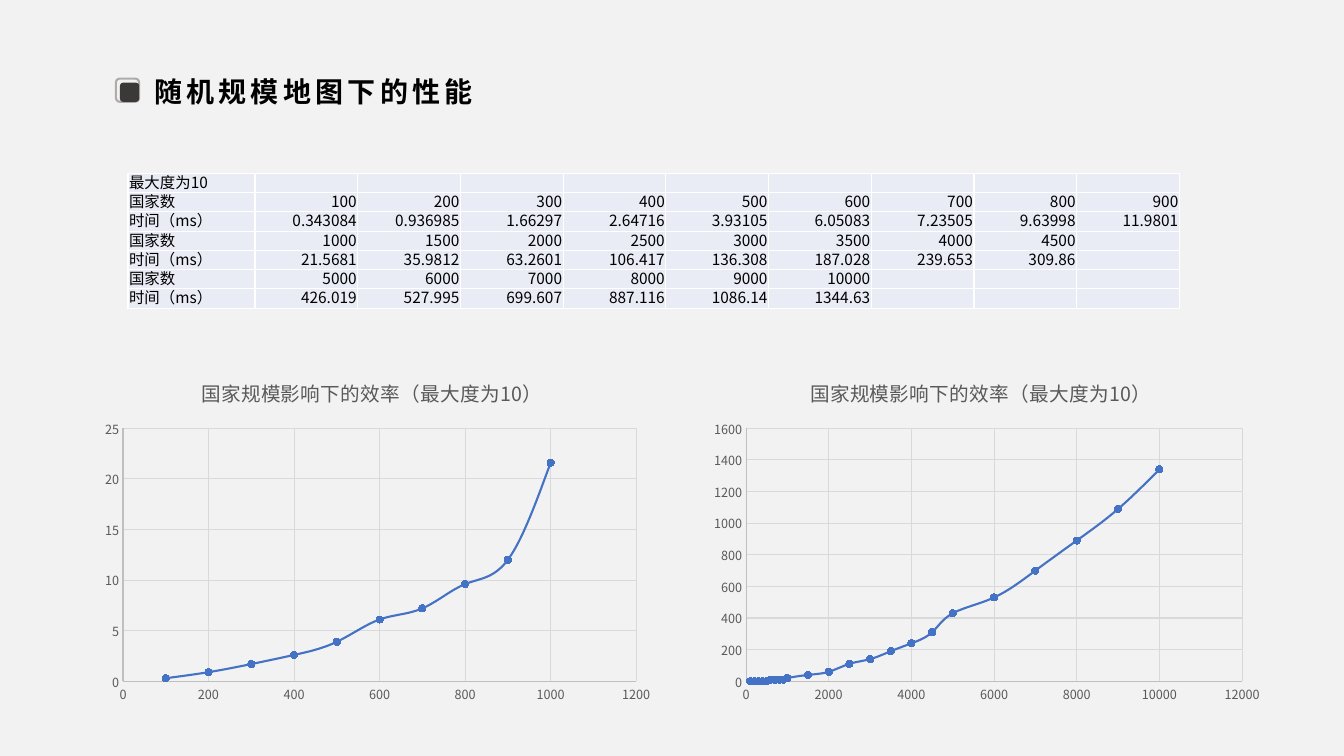
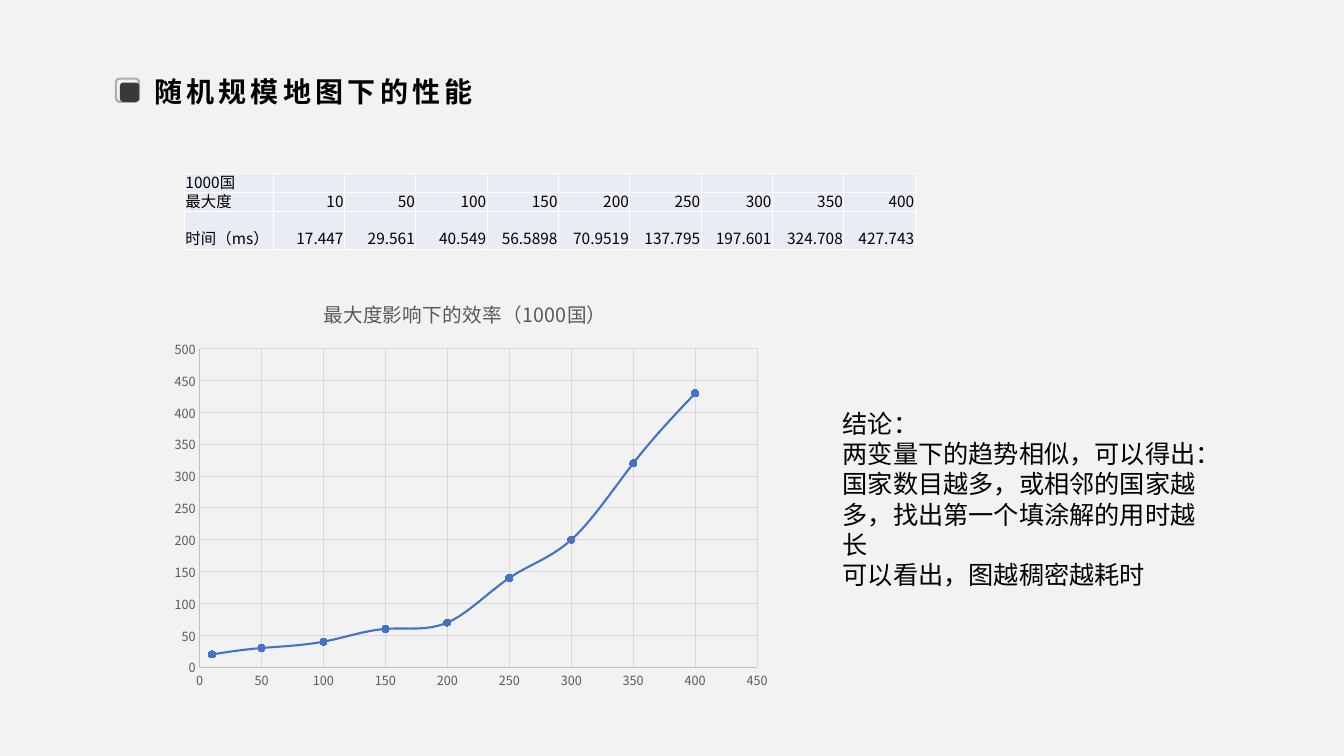
from dataclasses import dataclass

from lxml import etree
from pptx import Presentation
from pptx import util as u
from pptx.chart.data import XyChartData
from pptx.dml.color import RGBColor
from pptx.enum import chart as charts, shapes, text
from pptx.oxml import parse_xml
from pptx.oxml.ns import nsdecls, qn
from pptx.util import Inches


@dataclass(frozen=True)
class Theme:
    font: str = "Noto Sans CJK SC"
    background: str = "F2F2F2"
    ink: str = "000000"
    icon_outline: str = "AFABAB"
    icon_fill: str = "3B3838"
    cell: str = "E9EBF5"
    cell_border: str = "FFFFFF"
    chart_text: str = "595959"
    axis: str = "BFBFBF"
    grid: str = "D9D9D9"
    series: str = "4472C4"
    title_size: float = 20
    body_size: float = 18
    chart_title_size: float = 14
    table_size: float = 11
    empty_cell_size: int = 8
    chart_size: float = 10
    axis_size: float = 9


THEME = Theme()
TITLE = "随机规模地图下的性能"
ROW_HEIGHT = 0.19
COUNTRY, DEGREE, TIME = "国家数", "最大度", "时间（ms）"

SIZE_RUNS = [
    ([100, 200, 300, 400, 500, 600, 700, 800, 900],
     [0.343084, 0.936985, 1.66297, 2.64716, 3.93105, 6.05083, 7.23505, 9.63998, 11.9801]),
    ([1000, 1500, 2000, 2500, 3000, 3500, 4000, 4500],
     [21.5681, 35.9812, 63.2601, 106.417, 136.308, 187.028, 239.653, 309.86]),
    ([5000, 6000, 7000, 8000, 9000, 10000],
     [426.019, 527.995, 699.607, 887.116, 1086.14, 1344.63]),
]
DEGREE_RUN = (
    [10, 50, 100, 150, 200, 250, 300, 350, 400],
    [17.447, 29.561, 40.549, 56.5898, 70.9519, 137.795, 197.601, 324.708, 427.743],
)
CONCLUSION = [
    "结论：",
    "两变量下的趋势相似，可以得出：",
    "国家数目越多，或相邻的国家越多，找出第一个填涂解的用时越长",
    "可以看出，图越稠密越耗时",
]


def rgb(value):
    return RGBColor.from_string(value)


def style_font(font, size, color=THEME.ink, bold=False):
    """Set size, colour and typeface, for East Asian text as well."""
    font.size = u.Pt(size)
    font.bold = bold
    font.color.rgb = rgb(color)
    font.name = THEME.font
    etree.SubElement(font._element, qn("a:ea")).set("typeface", THEME.font)


def style_line(line, color, width):
    line.color.rgb = rgb(color)
    line.width = u.Pt(width)


def add_icon(page):
    """Draw the outlined and the filled square beside the title."""
    group = page.shapes.add_group_shape()
    for left, top, side in ((1.15, 0.78, 0.23), (1.19, 0.82, 0.19)):
        square = group.shapes.add_shape(
            shapes.MSO_SHAPE.ROUNDED_RECTANGLE,
            Inches(left), Inches(top), Inches(side), Inches(side))
        square.shadow.inherit = False
        if side == 0.23:
            square.fill.background()
            style_line(square.line, THEME.icon_outline, 1.5)
        else:
            square.fill.solid()
            square.fill.fore_color.rgb = rgb(THEME.icon_fill)
            square.line.fill.background()


def add_page(deck):
    page = deck.slides.add_slide(deck.slide_layouts[5])
    add_icon(page)
    title = page.shapes.title
    title.left, title.top = Inches(1.43), Inches(0.69)
    title.width, title.height = Inches(3.44), Inches(0.44)
    frame = title.text_frame
    frame.auto_size = text.MSO_AUTO_SIZE.NONE
    frame.word_wrap = False
    frame.vertical_anchor = text.MSO_ANCHOR.MIDDLE
    para = frame.paragraphs[0]
    para.alignment = text.PP_ALIGN.LEFT
    style_font(para.font, THEME.title_size, bold=True)
    span = para.add_run()
    span.text = TITLE
    span._r.get_or_add_rPr().set("spc", "300")
    return page


def add_cell_borders(cell):
    properties = cell._tc.get_or_add_tcPr()
    for side in ("lnL", "lnR", "lnT", "lnB"):
        properties.append(parse_xml(
            f'<a:{side} {nsdecls("a")} w="12700"><a:solidFill>'
            f'<a:srgbClr val="{THEME.cell_border}"/></a:solidFill></a:{side}>'))


def fill_cell(cell, value, alignment):
    cell.margin_left = cell.margin_right = cell.margin_top = Inches(0.01)
    cell.margin_bottom = 0
    cell.vertical_anchor = text.MSO_ANCHOR.BOTTOM
    add_cell_borders(cell)
    cell.fill.solid()
    cell.fill.fore_color.rgb = rgb(THEME.cell)
    para = cell.text_frame.paragraphs[0]
    if value == "":
        # A small size keeps an empty cell from stretching its row.
        para._p.get_or_add_endParaRPr().set("sz", str(THEME.empty_cell_size * 100))
        return
    para.alignment = alignment
    para.line_spacing = u.Pt(13)
    style_font(para.font, THEME.table_size)
    para.add_run().text = str(value)


def add_data_table(page, left, width, label_width, rows):
    """Add a table of label rows; short rows are padded with empty cells."""
    columns = max(len(row) for row in rows)
    value_width = (width - label_width) / (columns - 1)
    table = page.shapes.add_table(
        len(rows), columns, Inches(left), Inches(1.72),
        Inches(width), Inches(ROW_HEIGHT * len(rows))).table
    table.first_row = table.horz_banding = False
    for index, column in enumerate(table.columns):
        column.width = Inches(value_width if index else label_width)
    for row_index, row in enumerate(rows):
        table.rows[row_index].height = Inches(ROW_HEIGHT)
        for index in range(columns):
            value = row[index] if index < len(row) else ""
            side = text.PP_ALIGN.RIGHT if index else text.PP_ALIGN.LEFT
            fill_cell(table.cell(row_index, index), value, side)


def set_layout(parent, index, **places):
    """Give a chart part a manual layout, as fractions of the chart."""
    for old in parent.findall(qn("c:layout")):
        parent.remove(old)
    target = '<c:layoutTarget val="inner"/>' if "w" in places else ""
    modes = '<c:xMode val="edge"/><c:yMode val="edge"/>'
    values = "".join(f'<c:{key} val="{value:.4f}"/>' for key, value in places.items())
    parent.insert(index, parse_xml(
        f'<c:layout {nsdecls("c")}><c:manualLayout>{target}{modes}{values}'
        "</c:manualLayout></c:layout>"))


def style_axis(axis):
    axis.has_major_gridlines = True
    style_line(axis.major_gridlines.format.line, THEME.grid, 0.75)
    style_line(axis.format.line, THEME.axis, 0.75)
    axis.major_tick_mark = axis.minor_tick_mark = charts.XL_TICK_MARK.NONE
    style_font(axis.tick_labels.font, THEME.axis_size, THEME.chart_text)


def style_series(series):
    style_line(series.format.line, THEME.series, 1.5)
    for smooth in series._element.iter(qn("c:smooth")):
        smooth.set("val", "1")
    marker = series.marker
    marker.style = charts.XL_MARKER_STYLE.CIRCLE
    marker.size = 5
    marker.format.fill.solid()
    marker.format.fill.fore_color.rgb = rgb(THEME.series)
    style_line(marker.format.line, THEME.series, 0.75)


def add_curve(page, box, title, title_left, margins, points, digits):
    """Add a smooth scatter chart.

    margins are the plot insets left and right; digits rounds the values.
    """
    data = XyChartData()
    values = data.add_series("Series 1")
    for x, y in points:
        values.add_data_point(x, round(y, digits))
    chart = page.shapes.add_chart(
        charts.XL_CHART_TYPE.XY_SCATTER_SMOOTH, *map(Inches, box), data).chart
    style_font(chart.font, THEME.chart_size)
    chart.has_legend = False
    chart.has_title = True
    span = chart.chart_title.text_frame.paragraphs[0].add_run()
    span.text = title
    style_font(span.font, THEME.chart_title_size, THEME.chart_text)
    chart.chart_title.include_in_layout = False
    for axis in (chart.category_axis, chart.value_axis):
        style_axis(axis)
    plot = chart.plots[0]
    plot.vary_by_categories = False
    style_series(plot.series[0])

    width, height = box[2:]
    left, right = margins
    top, bottom = 0.67, 0.3
    set_layout(chart.chart_title._element, 1, x=title_left / width, y=0.12 / height)
    set_layout(chart._chartSpace.chart.plotArea, 0, x=left / width, y=top / height,
               w=(width - left - right) / width, h=(height - top - bottom) / height)


def add_conclusion(page):
    box = page.shapes.add_textbox(Inches(8.26), Inches(4), Inches(3.82), Inches(1.92))
    frame = box.text_frame
    frame.word_wrap = True
    for index, line in enumerate(CONCLUSION):
        para = frame.add_paragraph() if index else frame.paragraphs[0]
        para.line_spacing = u.Pt(21.6)
        style_font(para.font, THEME.body_size)
        para.add_run().text = line


def build_size_page(deck):
    page = add_page(deck)
    rows = [["最大度为10"]]
    points = []
    for counts, times in SIZE_RUNS:
        rows += [[COUNTRY, *counts], [TIME, *times]]
        points += zip(counts, times)
    add_data_table(page, 1.27, 10.43, 1.26, rows)
    title = "国家规模影响下的效率（最大度为10）"
    add_curve(page, (6.98, 3.58, 5.63, 3.48), title, 1.02, (0.42, 0.29), points, -1)
    add_curve(page, (0.94, 3.58, 5.63, 3.48), title, 1.02, (0.28, 0.26), points[:10], 1)


def build_degree_page(deck):
    page = add_page(deck)
    degrees, times = DEGREE_RUN
    rows = [["1000国"], [DEGREE, *degrees], [TIME, *times]]
    add_data_table(page, 1.83, 7.25, 0.88, rows)
    add_curve(page, (1.61, 2.79, 6.12, 4.13), "最大度影响下的效率（1000国）",
              1.56, (0.37, 0.22), zip(degrees, times), -1)
    add_conclusion(page)


def main():
    deck = Presentation()
    deck.slide_width, deck.slide_height = Inches(13.33), Inches(7.5)
    background = deck.slide_master.background.fill
    background.solid()
    background.fore_color.rgb = rgb(THEME.background)
    build_size_page(deck)
    build_degree_page(deck)
    deck.save("out.pptx")


if __name__ == "__main__":
    main()
